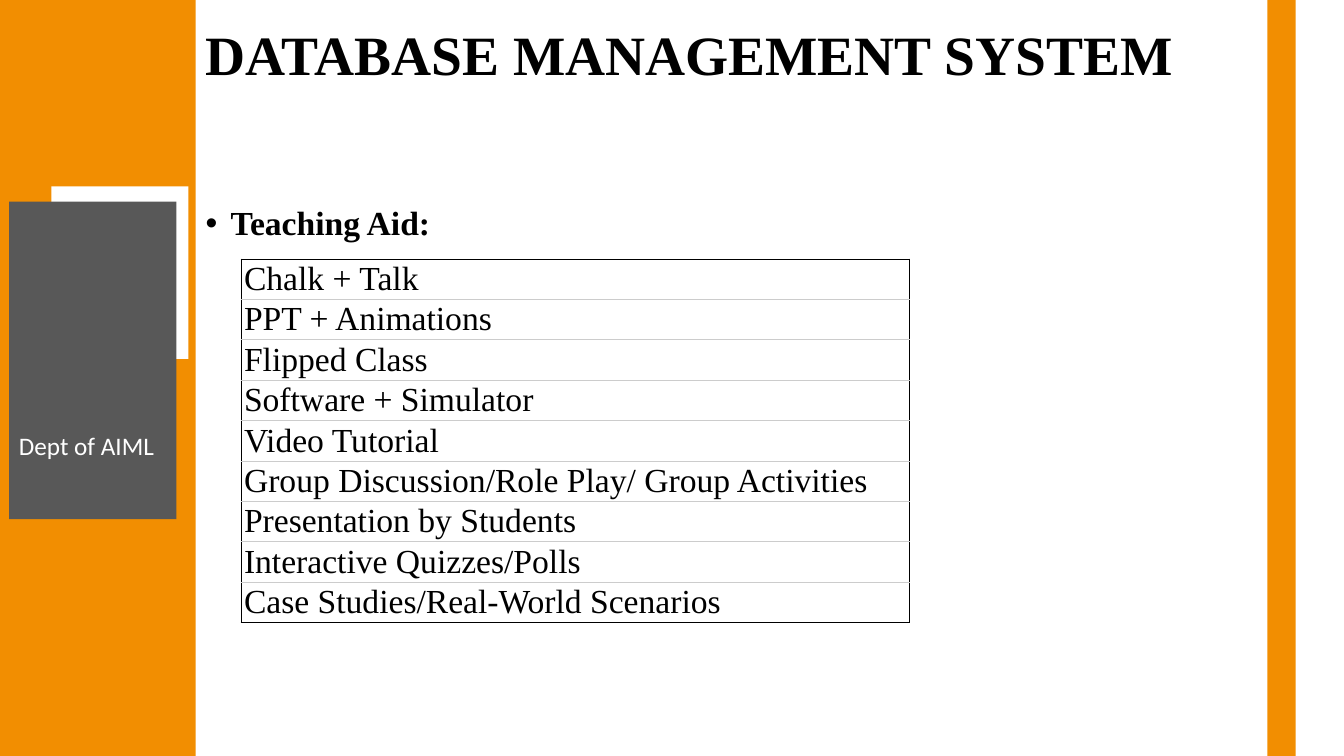
from lxml.etree import SubElement as Sub
from pptx import Presentation
from pptx.dml.color import RGBColor as RGB
from pptx.enum.shapes import MSO_SHAPE as SHAPE
from pptx.enum.text import MSO_ANCHOR as ANCHOR, MSO_AUTO_SIZE as FIT, PP_ALIGN as ALIGN
from pptx.oxml.ns import qn
from pptx.util import Inches, Pt

HUES = {"orange": "F28E01", "gray": "585858", "white": "FFFFFF",
        "black": "000000", "rule": "CCCCCC"}
SERIF = "Times New Roman"


def add_run(para, text, size, face=SERIF, hue="black", bold=False):
    run = para.add_run()
    run.text = text
    font = run.font
    font.size, font.name, font.bold = Pt(size), face, bold
    font.color.rgb = RGB.from_string(HUES[hue])


def add_edge(cell, side, hue):
    line = Sub(cell._tc.get_or_add_tcPr(), qn("a:ln" + side), w=str(Pt(0.6)))
    fill = Sub(line, qn("a:solidFill"))
    Sub(fill, qn("a:srgbClr"), val=HUES[hue])


deck = Presentation()
deck.slide_width, deck.slide_height = Inches(13.33), Inches(7.5)
slide = deck.slides.add_slide(deck.slide_layouts[5])
shapes = slide.shapes

# Title
title = shapes.title
title.left, title.top = Inches(1.94), Inches(0.22)
title.width, title.height = Inches(10.47), Inches(1.45)
frame = title.text_frame
frame.word_wrap = True
frame.auto_size = FIT.NONE
frame.vertical_anchor = ANCHOR.TOP
para = frame.paragraphs[0]
para.alignment = ALIGN.LEFT
para.line_spacing = 0.9
add_run(para, "DATABASE MANAGEMENT SYSTEM", 39.6, bold=True)

# Bulleted heading
body = shapes.add_textbox(Inches(1.94), Inches(2), Inches(10.47), Inches(4.76))
frame = body.text_frame
frame.word_wrap = True
para = frame.paragraphs[0]
para.line_spacing = 0.9
props = para._p.get_or_add_pPr()
props.set("marL", str(Inches(0.25)))
props.set("indent", str(-Inches(0.25)))
Sub(props, qn("a:buFont"), typeface="Arial")
Sub(props, qn("a:buChar"), char="•")
add_run(para, "Teaching Aid:", 24, bold=True)

# Side bars and department panel
for left, top, width, height, hue in [
    (-0.03, 0, 1.97, 7.5, "orange"),
    (0.51, 1.85, 1.36, 1.71, "white"),
    (0.09, 2, 1.66, 3.15, "gray"),
    (12.57, 0, 0.28, 7.5, "orange"),
]:
    block = shapes.add_shape(SHAPE.RECTANGLE, Inches(left), Inches(top),
                             Inches(width), Inches(height))
    block.shadow.inherit = False
    block.fill.solid()
    block.fill.fore_color.rgb = RGB.from_string(HUES[hue])
    block.line.fill.background()

# Department label
label = shapes.add_textbox(Inches(0.09), Inches(4.22), Inches(1.66), Inches(0.4))
frame = label.text_frame
frame.word_wrap = True
frame.auto_size = FIT.SHAPE_TO_FIT_TEXT
add_run(frame.paragraphs[0], "Dept of AIML", 18, "Calibri", "white")

# Table of teaching aids
aids = ["Chalk + Talk", "PPT + Animations", "Flipped Class",
        "Software + Simulator", "Video Tutorial",
        "Group Discussion/Role Play/ Group Activities",
        "Presentation by Students", "Interactive Quizzes/Polls",
        "Case Studies/Real-World Scenarios"]
last = len(aids) - 1
table = shapes.add_table(len(aids), 1, Inches(2.39), Inches(2.57),
                         Inches(6.63), Inches(3.6)).table
table.first_row = table.horz_banding = False
for row, aid in enumerate(aids):
    cell = table.cell(row, 0)
    cell.margin_left = cell.margin_right = Inches(0.03)
    cell.margin_top = cell.margin_bottom = 0
    cell.vertical_anchor = ANCHOR.MIDDLE
    add_edge(cell, "L", "black")
    add_edge(cell, "R", "black")
    add_edge(cell, "T", "black" if row == 0 else "rule")
    add_edge(cell, "B", "black" if row == last else "rule")
    cell.fill.background()
    add_run(cell.text_frame.paragraphs[0], aid, 24)

deck.save("out.pptx")
